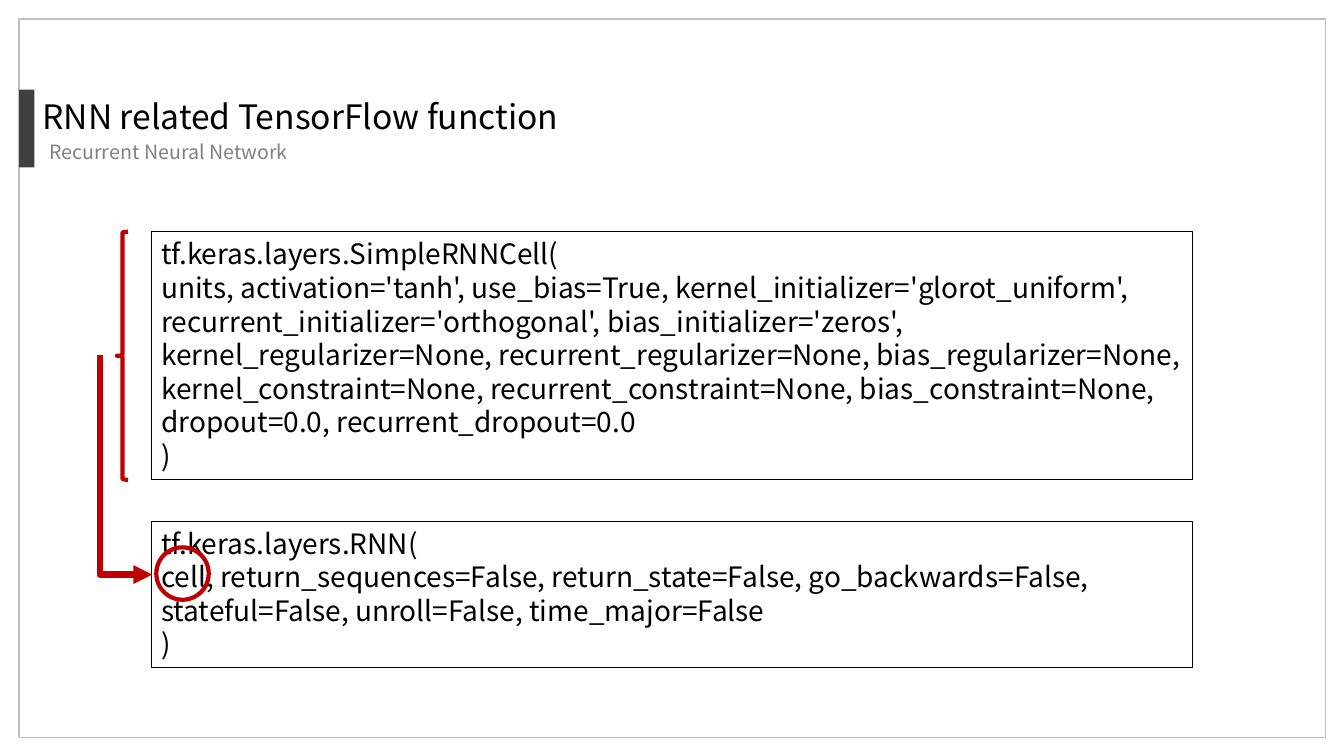
import pptx
import pptx.util
import pptx.dml.color
import pptx.enum.shapes
import pptx.enum.text
import lxml.etree
from pptx.util import Inches

RGB = pptx.dml.color.RGBColor
BLACK = RGB(0x00, 0x00, 0x00)
DARK = RGB(0x40, 0x40, 0x40)
GRAY = RGB(0x80, 0x80, 0x80)
PALE = RGB(0xBF, 0xBF, 0xBF)
RED = RGB(0xC0, 0x00, 0x00)
KIND = pptx.enum.shapes.MSO_SHAPE
ALIGN = pptx.enum.text.PP_ALIGN
FONT = "Noto Sans CJK KR"

deck = pptx.Presentation()
deck.slide_width, deck.slide_height = Inches(13.33), Inches(7.5)
slide = deck.slides.add_slide(deck.slide_layouts[5])
shapes = slide.shapes


def style(shape, color, width):
    shape.shadow.inherit = False
    shape.fill.background()
    shape.line.color.rgb = color
    shape.line.width = pptx.util.Pt(width)


def write(shape, lines, size, color, align=ALIGN.LEFT, wrap=True):
    frame = shape.text_frame
    form = {
        "word_wrap": wrap,
        "auto_size": pptx.enum.text.MSO_AUTO_SIZE.NONE,
        "vertical_anchor": pptx.enum.text.MSO_ANCHOR.TOP,
        "margin_left": Inches(0.1),
        "margin_right": Inches(0.1),
        "margin_top": Inches(0.05),
        "margin_bottom": Inches(0.05),
    }
    for key, value in form.items():
        setattr(frame, key, value)
    frame.text = "\n".join(lines)
    for para in frame.paragraphs:
        para.alignment = align
        para.line_spacing = pptx.util.Pt(size * 1.2)
        font = para.runs[0].font
        font.name, font.size = FONT, pptx.util.Pt(size)
        font.color.rgb = color


title = shapes.title
place = {"left": 0.32, "top": 0.9, "width": 5.32, "height": 0.5}
for key, value in place.items():
    setattr(title, key, Inches(value))
write(title, ["RNN related TensorFlow function"], 24, BLACK, ALIGN.CENTER, False)

border = shapes.add_shape(KIND.RECTANGLE, Inches(0.19), Inches(0.19), Inches(12.96), Inches(7.13))
style(border, PALE, 1)

bar = shapes.add_shape(KIND.RECTANGLE, Inches(0.19), Inches(0.89), Inches(0.15), Inches(0.77))
bar.shadow.inherit = False
bar.fill.solid()
bar.fill.fore_color.rgb = DARK
bar.line.fill.background()

topic = shapes.add_textbox(Inches(0.39), Inches(1.34), Inches(5.45), Inches(0.34))
write(topic, ["Recurrent Neural Network"], 14, GRAY)

calls = [
    (2.3, 2.46, [
        "tf.keras.layers.SimpleRNNCell(",
        "units, activation='tanh', use_bias=True, kernel_initializer='glorot_uniform',",
        "recurrent_initializer='orthogonal', bias_initializer='zeros',",
        "kernel_regularizer=None, recurrent_regularizer=None, bias_regularizer=None,",
        "kernel_constraint=None, recurrent_constraint=None, bias_constraint=None,",
        "dropout=0.0, recurrent_dropout=0.0",
        ")",
    ]),
    (5.17, 1.45, [
        "tf.keras.layers.RNN(",
        "cell, return_sequences=False, return_state=False, go_backwards=False,",
        "stateful=False, unroll=False, time_major=False",
        ")",
    ]),
]
for top, height, lines in calls:
    box = shapes.add_shape(KIND.RECTANGLE, Inches(1.5), Inches(top), Inches(10.33), Inches(height))
    style(box, BLACK, 0.75)
    write(box, lines, 20, BLACK)

brace = shapes.add_shape(KIND.LEFT_BRACE, Inches(1.16), Inches(2.3), Inches(0.11), Inches(2.46))
style(brace, RED, 3)

route = shapes.build_freeform(Inches(0.99), Inches(3.52))
route.add_line_segments(
    [(Inches(0.99), Inches(5.7)), (Inches(1.51), Inches(5.7))], close=False
)
arrow = route.convert_to_shape()
style(arrow, RED, 4.5)
line = arrow.line._get_or_add_ln()
lxml.etree.SubElement(line, pptx.oxml.ns.qn("a:tailEnd"), type="triangle")

ring = shapes.add_shape(KIND.OVAL, Inches(1.55), Inches(5.43), Inches(0.52), Inches(0.52))
style(ring, RED, 3)

deck.save("out.pptx")
